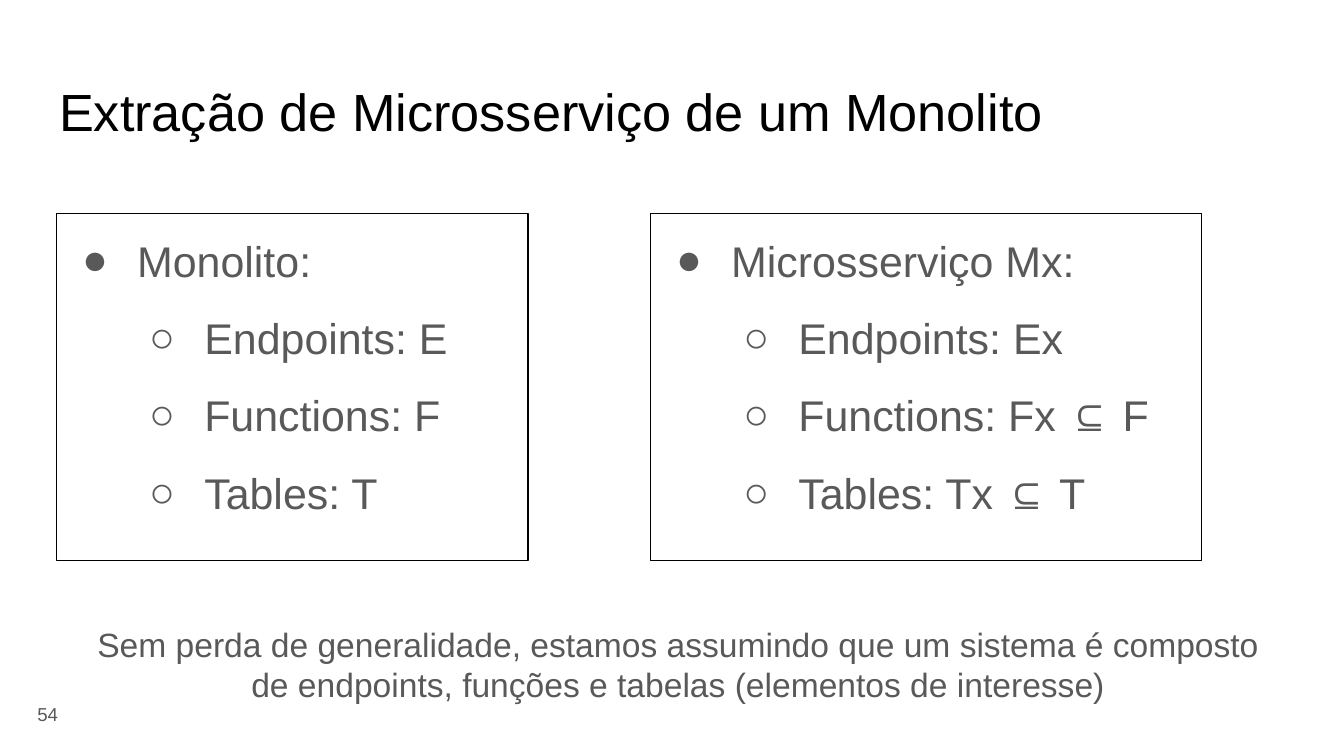
from lxml import etree
from pptx import Presentation
from pptx import util as u
from pptx.dml.color import RGBColor
from pptx.enum import text
from pptx.oxml.ns import qn

BLACK, GRAY = "000000", "595959"
TWO_CONTENT = 3
SLIDE_WIDTH = 10
SLIDE_HEIGHT = SLIDE_WIDTH * 9 / 16


def rgb(hex_color):
    return RGBColor.from_string(hex_color)


def write(paragraph, words, size=18, color=GRAY, align=text.PP_ALIGN.LEFT,
          line_spacing=1.0, space_before=0):
    paragraph.alignment = align
    paragraph.line_spacing = line_spacing
    paragraph.space_before = u.Pt(space_before)
    run = paragraph.add_run()
    run.text = words
    run.font.name = "Arial"
    run.font.size = u.Pt(size)
    run.font.color.rgb = rgb(color)


def add_bullet(paragraph, char, indent, hanging=0.41, color=GRAY):
    props = paragraph._p.get_or_add_pPr()
    props.set("marL", str(u.Inches(indent)))
    props.set("indent", str(-u.Inches(hanging)))
    bullet_color = etree.SubElement(props, qn("a:buClr"))
    etree.SubElement(bullet_color, qn("a:srgbClr"), val=color)
    etree.SubElement(props, qn("a:buFont"), typeface="Arial")
    etree.SubElement(props, qn("a:buChar"), char=char)


class SlideBuilder:
    BULLETS = "●○"

    def __init__(self, slide):
        self.slide = slide

    def frame(self, shape, box, anchor=text.MSO_ANCHOR.TOP):
        """Place the shape and return its text frame with even margins."""
        shape.left, shape.top, shape.width, shape.height = map(u.Inches, box)
        frame = shape.text_frame
        frame.word_wrap = True
        frame.auto_size = text.MSO_AUTO_SIZE.NONE
        frame.vertical_anchor = anchor
        frame.margin_left = frame.margin_right = u.Inches(0.1)
        frame.margin_top = frame.margin_bottom = u.Inches(0.1)
        return frame

    def title(self, words, box):
        frame = self.frame(self.slide.shapes.title, box)
        write(frame.paragraphs[0], words, size=28, color=BLACK)

    def outlined_list(self, idx, box, heading, items):
        panel = self.slide.placeholders[idx]
        frame = self.frame(panel, box)
        panel.line.color.rgb = rgb(BLACK)
        panel.line.width = u.Pt(0.75)
        for position, words in enumerate([heading, *items]):
            level = min(position, 1)
            paragraph = frame.add_paragraph() if position else frame.paragraphs[0]
            paragraph.level = level
            add_bullet(paragraph, self.BULLETS[level], 0.5 + 0.5 * level)
            write(paragraph, words, size=23, line_spacing=1.14,
                  space_before=10 * level)

    def label(self, words, box, anchor=text.MSO_ANCHOR.TOP, **style):
        shape = self.slide.shapes.add_textbox(*map(u.Inches, box))
        write(self.frame(shape, box, anchor).paragraphs[0], words, **style)


def main():
    deck = Presentation()
    deck.slide_width = u.Inches(SLIDE_WIDTH)
    deck.slide_height = u.Inches(SLIDE_HEIGHT)
    builder = SlideBuilder(deck.slides.add_slide(deck.slide_layouts[TWO_CONTENT]))

    builder.title("Extração de Microsserviço de um Monolito", (0.34, 0.49, 9.32, 0.63))
    builder.outlined_list(1, (0.42, 1.59, 3.51, 2.58), "Monolito:",
                          ["Endpoints: E", "Functions: F", "Tables: T"])
    builder.outlined_list(2, (4.84, 1.59, 4.1, 2.58), "Microsserviço Mx:",
                          ["Endpoints: Ex", "Functions: Fx ⊆ F", "Tables: Tx ⊆ T"])
    builder.label("54", (0.18, 5.1, 0.6, 0.43), text.MSO_ANCHOR.MIDDLE, size=10)
    builder.label("Sem perda de generalidade, estamos assumindo que um sistema é composto "
                  "de endpoints, funções e tabelas (elementos de interesse)",
                  (0.54, 4.54, 9.01, 0.81), align=text.PP_ALIGN.CENTER)
    deck.save("out.pptx")


if __name__ == "__main__":
    main()
